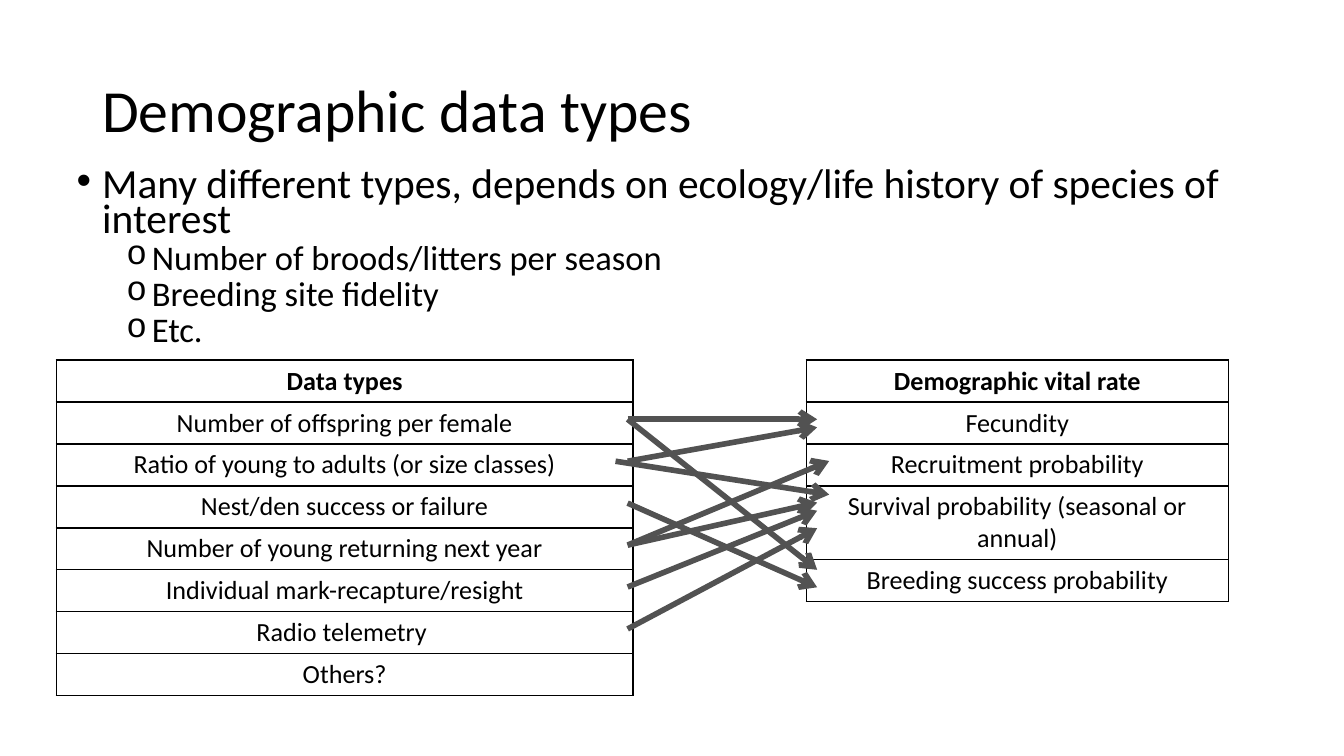
from lxml import etree
from pptx import Presentation
from pptx.dml.color import RGBColor
from pptx.enum import shapes, text
from pptx.oxml import ns
from pptx.util import Inches, Pt

BLACK = RGBColor(0, 0, 0)
GRAY = RGBColor(0x52, 0x52, 0x52)
FONT = "Calibri"

TITLE = "Demographic data types"
# level, text
POINTS = [
    (0, "Many different types, depends on ecology/life history of species of interest"),
    (1, "Number of broods/litters per season"),
    (1, "Breeding site fidelity"),
    (1, "Etc."),
]
# per level: size, space before, left indent, bullet, bullet font
LEVELS = [(22.2, 7.5, 0.19, "•", "Arial"), (18.5, 3.8, 0.56, "o", "Courier New")]
HANG = 0.19

TYPES = [
    "Data types",
    "Number of offspring per female",
    "Ratio of young to adults (or size classes)",
    "Nest/den success or failure",
    "Number of young returning next year",
    "Individual mark-recapture/resight",
    "Radio telemetry ",
    "Others?",
]
RATES = [
    "Demographic vital rate",
    "Fecundity",
    "Recruitment probability",
    "Survival probability (seasonal or annual)",
    "Breeding success probability",
]
TOP, ROW, TALL = 2.68, 0.31, 0.53
# left, width, rows, indexes of two-line rows
TABLES = [(0.42, 4.29, TYPES, ()), (6, 3.14, RATES, (3,))]

# data type row, start x, end x, end y
NEAR, FAR = 6.08, 6.17
START = 4.67
ARROWS = [
    (1, START, NEAR, 3.12),
    (1, START, NEAR, 4.24),
    (2, START, NEAR, 3.18),
    (3, START, NEAR, 4.37),
    (4, START, FAR, 3.43),
    (4, START, NEAR, 3.74),
    (5, START, NEAR, 3.8),
    (6, START, NEAR, 3.93),
    (2, 4.58, FAR, 3.68),
]
FIRST, LAST = 3.12, 4.68
STEP = (LAST - FIRST) / 5


def add_run(para, words, size, bold=False):
    run = para.add_run()
    run.text = words
    font = run.font
    font.name, font.size, font.bold = FONT, Pt(size), bold
    font.color.rgb = BLACK


def place(shape, left, top, width, height, anchor):
    shape.left, shape.top = Inches(left), Inches(top)
    shape.width, shape.height = Inches(width), Inches(height)
    frame = shape.text_frame
    frame.word_wrap = True
    frame.auto_size = text.MSO_AUTO_SIZE.NONE
    frame.vertical_anchor = anchor
    frame.margin_left = frame.margin_right = Inches(0.07)
    frame.margin_top = frame.margin_bottom = Inches(0.04)
    return frame


def add_points(frame):
    for i, (level, words) in enumerate(POINTS):
        para = frame.paragraphs[0] if i == 0 else frame.add_paragraph()
        size, before, left, mark, face = LEVELS[level]
        para.level = level
        para.line_spacing = 0.7
        para.space_before = Pt(before)
        props = para._p.get_or_add_pPr()
        props.set("marL", str(Inches(left)))
        props.set("indent", str(-Inches(HANG)))
        etree.SubElement(props, ns.qn("a:buFont"), typeface=face)
        etree.SubElement(props, ns.qn("a:buChar"), char=mark)
        add_run(para, words, size)


def add_border(cell):
    props = cell._tc.get_or_add_tcPr()
    for i, side in enumerate(("lnL", "lnR", "lnT", "lnB")):
        line = etree.Element(ns.qn("a:" + side), w=str(Pt(1)))
        fill = etree.SubElement(line, ns.qn("a:solidFill"))
        etree.SubElement(fill, ns.qn("a:srgbClr"), val=str(BLACK))
        props.insert(i, line)


def add_list(slide, left, width, rows, tall):
    heights = [TALL if i in tall else ROW for i in range(len(rows))]
    table = slide.shapes.add_table(
        len(rows), 1, Inches(left), Inches(TOP), Inches(width), Inches(sum(heights))
    ).table
    table.first_row = table.horz_banding = False
    for i, words in enumerate(rows):
        table.rows[i].height = Inches(heights[i])
        cell = table.cell(i, 0)
        cell.fill.background()
        add_border(cell)
        cell.vertical_anchor = text.MSO_ANCHOR.MIDDLE
        cell.margin_left = cell.margin_right = Inches(0.1)
        cell.margin_top = cell.margin_bottom = Pt(2.7)
        para = cell.text_frame.paragraphs[0]
        para.alignment = text.PP_ALIGN.CENTER
        add_run(para, words, 14, bold=i == 0)


def add_arrow(slide, row, x, end_x, end_y):
    y = FIRST + (row - 1) * STEP
    arrow = slide.shapes.add_connector(
        shapes.MSO_CONNECTOR.STRAIGHT, Inches(x), Inches(y), Inches(end_x), Inches(end_y)
    )
    arrow.line.color.rgb = GRAY
    arrow.line.width = Pt(3)
    etree.SubElement(arrow.line._get_or_add_ln(), ns.qn("a:tailEnd"), type="arrow")
    etree.SubElement(arrow._element.spPr, ns.qn("a:effectLst"))


def main():
    deck = Presentation()
    deck.slide_width = Inches(10)
    deck.slide_height = deck.slide_width * 9 // 16
    slide = deck.slides.add_slide(deck.slide_layouts[1])

    title, body = slide.placeholders
    frame = place(title, 0.69, 0.3, 8.62, 1.09, text.MSO_ANCHOR.MIDDLE)
    para = frame.paragraphs[0]
    para.alignment = text.PP_ALIGN.LEFT
    para.line_spacing = 0.9
    add_run(para, TITLE, 32)
    add_points(place(body, 0.5, 1.23, 9, 1.5, text.MSO_ANCHOR.TOP))

    for item in TABLES:
        add_list(slide, *item)
    for item in ARROWS:
        add_arrow(slide, *item)
    deck.save("out.pptx")


if __name__ == "__main__":
    main()
